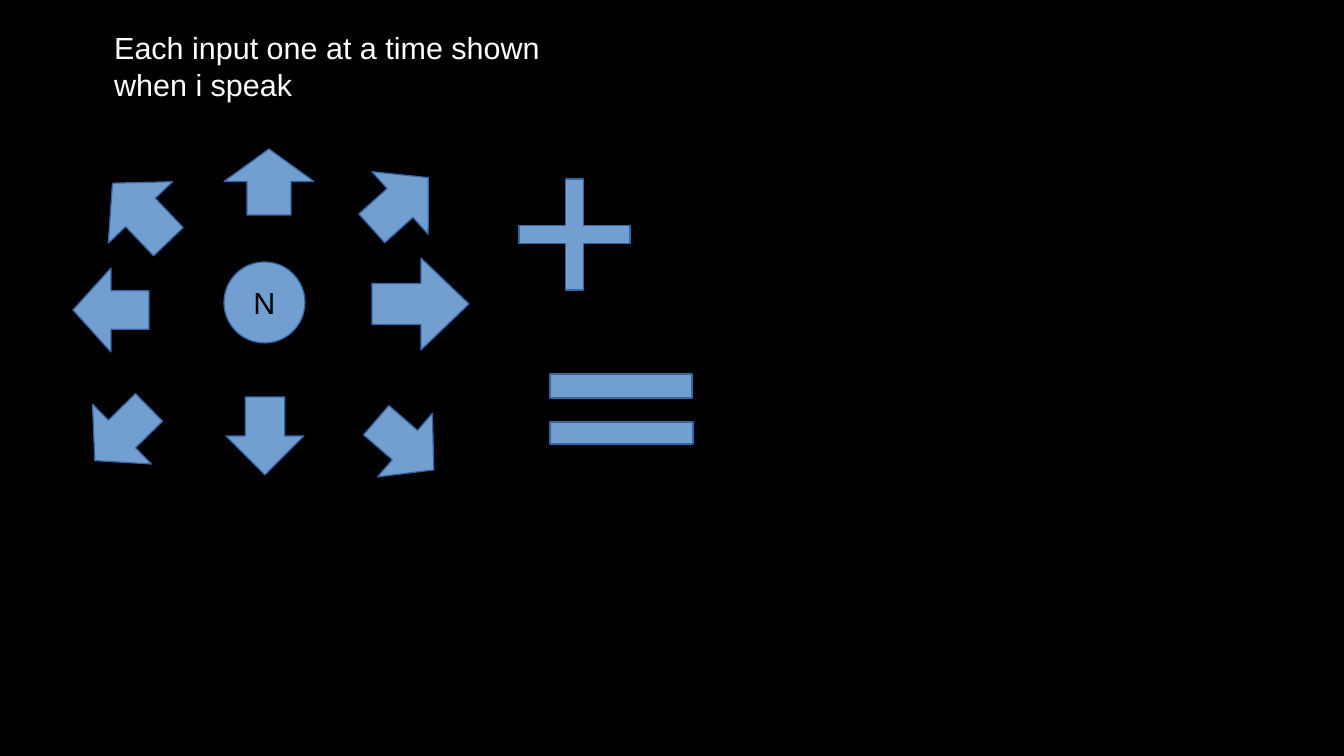
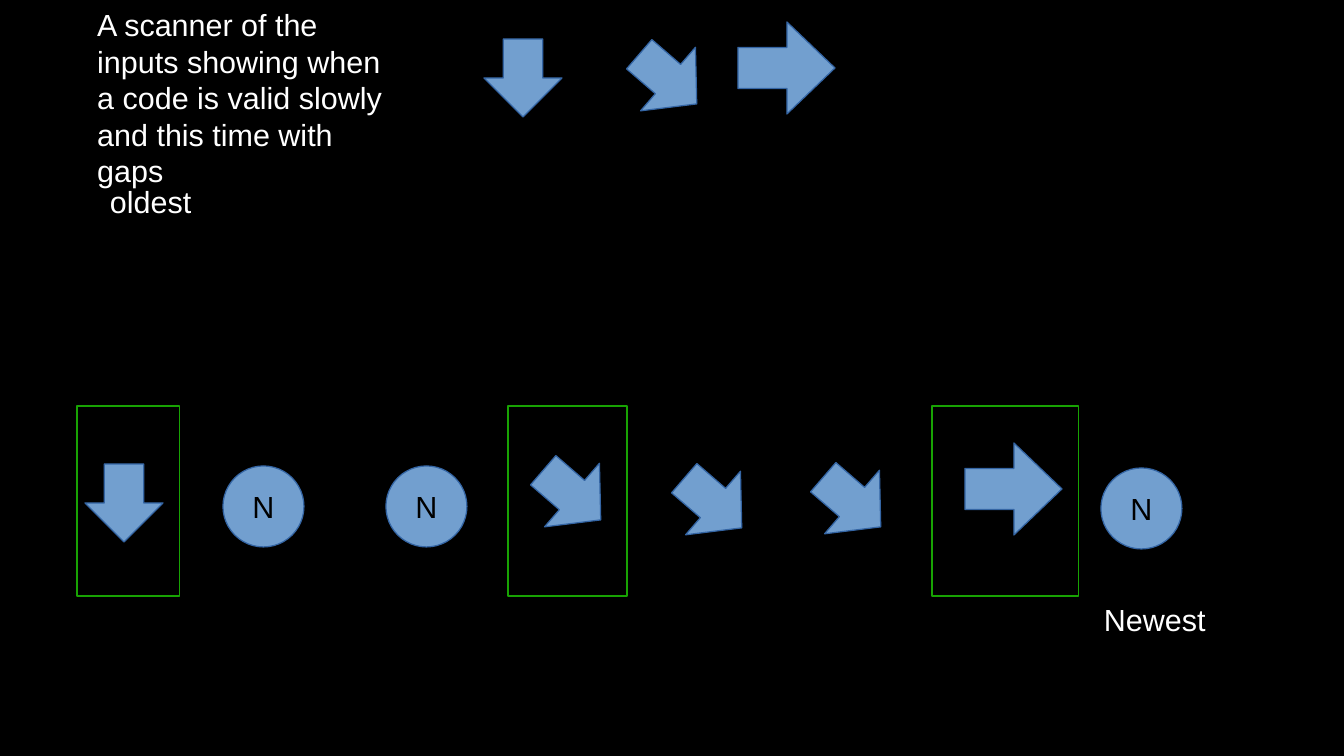
from typing import NamedTuple

from pptx import Presentation
from pptx.dml.color import RGBColor
from pptx.enum.shapes import MSO_SHAPE as Preset
from pptx.enum.text import MSO_ANCHOR as Anchor, MSO_AUTO_SIZE as AutoSize, PP_ALIGN as Align
from pptx.util import Emu, Pt

# Shared style
EMU_PER_PX = 914400 / 122
BLACK, WHITE = "000000", "FFFFFF"
BLUE, BLUE_EDGE, GREEN = "729FCF", "3465A4", "18A303"
FONT, FONT_SIZE = "Arial", 18


class Box(NamedTuple):
    left: int
    top: int
    width: int
    height: int


class Symbol(NamedTuple):
    preset: Preset
    width: int
    height: int
    adjustments: tuple[float, ...] = ()
    rotation: float = 0
    label: str = ""


class Placed(NamedTuple):
    symbol: Symbol
    left: int
    top: int


def diagonal(rotation: float, width: int = 76, height: int = 84) -> Symbol:
    return Symbol(Preset.LEFT_ARROW, width, height, (0.461, 0.5), rotation)


# Input symbols
LEFT = diagonal(0)
UP_LEFT = diagonal(46.3, 81, 89)
UP_RIGHT = diagonal(138.1)
DOWN_RIGHT = diagonal(220.8)
DOWN_LEFT = diagonal(315.5)
RIGHT = Symbol(Preset.RIGHT_ARROW, 97, 92, (0.447, 0.522))
DOWN = Symbol(Preset.DOWN_ARROW, 78, 78, (0.505, 0.5))
UP = Symbol(Preset.UP_ARROW, 90, 66, (0.488, 0.493))
NEUTRAL = Symbol(Preset.OVAL, 81, 81, label="N")
PLUS = Symbol(Preset.CROSS, 111, 111, (0.42,))
UPPER_BAR = Symbol(Preset.RECTANGLE, 142, 24)
LOWER_BAR = Symbol(Preset.RECTANGLE, 143, 22)


def px(length: int) -> Emu:
    return Emu(round(length * EMU_PER_PX))


def colour(value: str) -> RGBColor:
    return RGBColor.from_string(value)


def set_text(shape, text: str, text_colour: str, align: Align, anchor: Anchor) -> None:
    frame = shape.text_frame
    frame.text = text
    frame.word_wrap = True
    frame.vertical_anchor = anchor
    paragraph = frame.paragraphs[0]
    paragraph.alignment = align
    font = paragraph.runs[0].font
    font.name, font.size = FONT, Pt(FONT_SIZE)
    font.color.rgb = colour(text_colour)


def add_outlined(shapes, preset: Preset, box: Box, line: str, fill: str | None = None):
    shape = shapes.add_shape(preset, *map(px, box))
    shape.shadow.inherit = False
    if fill:
        shape.fill.solid()
        shape.fill.fore_color.rgb = colour(fill)
    else:
        shape.fill.background()
    shape.line.color.rgb = colour(line)
    shape.line.width = Pt(0)
    return shape


def add_symbols(shapes, placements: list[Placed]) -> None:
    for symbol, left, top in placements:
        box = Box(left, top, symbol.width, symbol.height)
        shape = add_outlined(shapes, symbol.preset, box, BLUE_EDGE, BLUE)
        for index, value in enumerate(symbol.adjustments):
            shape.adjustments[index] = value
        shape.rotation = symbol.rotation
        if symbol.label:
            set_text(shape, symbol.label, BLACK, Align.CENTER, Anchor.MIDDLE)


def add_caption(slide, text: str, box: Box) -> None:
    caption = slide.shapes.add_textbox(*map(px, box))
    set_text(caption, text, WHITE, Align.LEFT, Anchor.TOP)


def add_titled_slide(presentation, text: str, box: Box):
    slide = presentation.slides.add_slide(presentation.slide_layouts.get_by_name("Title Only"))
    title = slide.shapes.title
    title.left, title.top, title.width, title.height = map(px, box)
    set_text(title, text, WHITE, Align.LEFT, Anchor.TOP)
    title.text_frame.auto_size = AutoSize.SHAPE_TO_FIT_TEXT
    return slide


def build_inputs_slide(presentation) -> None:
    slide = add_titled_slide(
        presentation, "Each input one at a time shown when i speak", Box(102, 23, 471, 117))
    # Directions around neutral, then the plus sign
    add_symbols(slide.shapes, [
        Placed(UP_LEFT, 100, 168), Placed(UP, 224, 149), Placed(UP_RIGHT, 362, 161),
        Placed(LEFT, 73, 268), Placed(NEUTRAL, 224, 262), Placed(RIGHT, 372, 258),
        Placed(DOWN_LEFT, 84, 392), Placed(DOWN, 226, 397), Placed(DOWN_RIGHT, 367, 403),
        Placed(PLUS, 519, 179),
    ])
    # Equals sign
    equals = slide.shapes.add_group_shape()
    add_symbols(equals.shapes, [Placed(UPPER_BAR, 550, 374), Placed(LOWER_BAR, 550, 422)])


def build_scanner_slide(presentation) -> None:
    slide = add_titled_slide(
        presentation,
        "A scanner of the inputs showing when a code is valid slowly and this time with gaps",
        Box(85, 0, 320, 183))
    # Code to find
    add_symbols(slide.shapes, [
        Placed(DOWN, 484, 39), Placed(DOWN_RIGHT, 630, 37), Placed(RIGHT, 738, 22)])
    # Recorded inputs, oldest to newest
    add_symbols(slide.shapes, [
        Placed(DOWN, 85, 464), Placed(NEUTRAL, 223, 466), Placed(NEUTRAL, 386, 466),
        Placed(DOWN_RIGHT, 534, 453), Placed(DOWN_RIGHT, 675, 461),
        Placed(DOWN_RIGHT, 814, 460), Placed(RIGHT, 965, 443), Placed(NEUTRAL, 1101, 468),
    ])
    # Frames on the matching inputs
    for left, width in ((77, 103), (508, 119), (932, 147)):
        add_outlined(slide.shapes, Preset.RECTANGLE, Box(left, 406, width, 190), GREEN)
    add_caption(slide, "oldest", Box(98, 177, 138, 81))
    add_caption(slide, "Newest", Box(1092, 595, 150, 81))


def main() -> None:
    presentation = Presentation()
    presentation.slide_width, presentation.slide_height = px(1344), px(756)
    background = presentation.slide_master.background.fill
    background.solid()
    background.fore_color.rgb = colour(BLACK)
    build_inputs_slide(presentation)
    build_scanner_slide(presentation)
    presentation.save("out.pptx")


if __name__ == "__main__":
    main()
